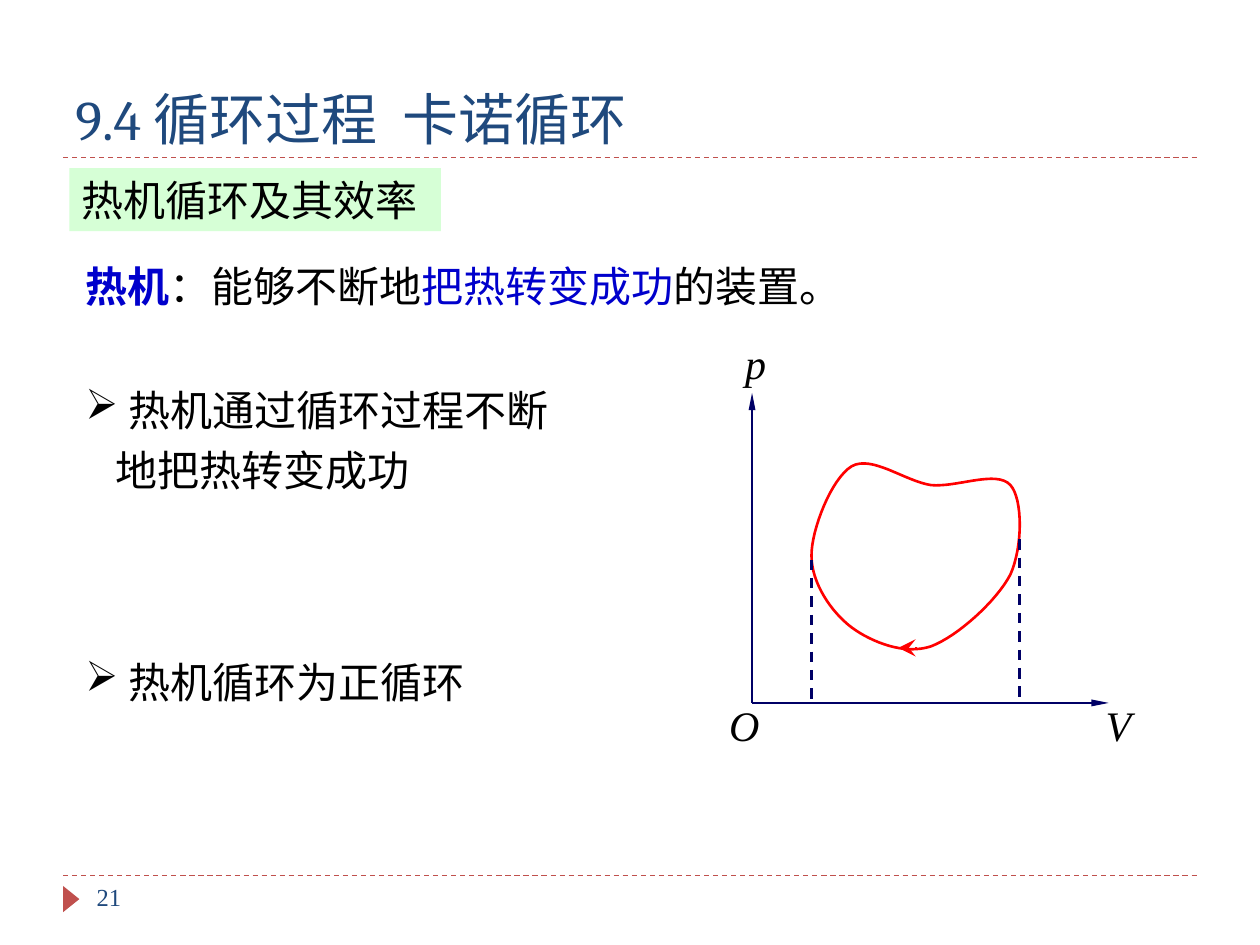
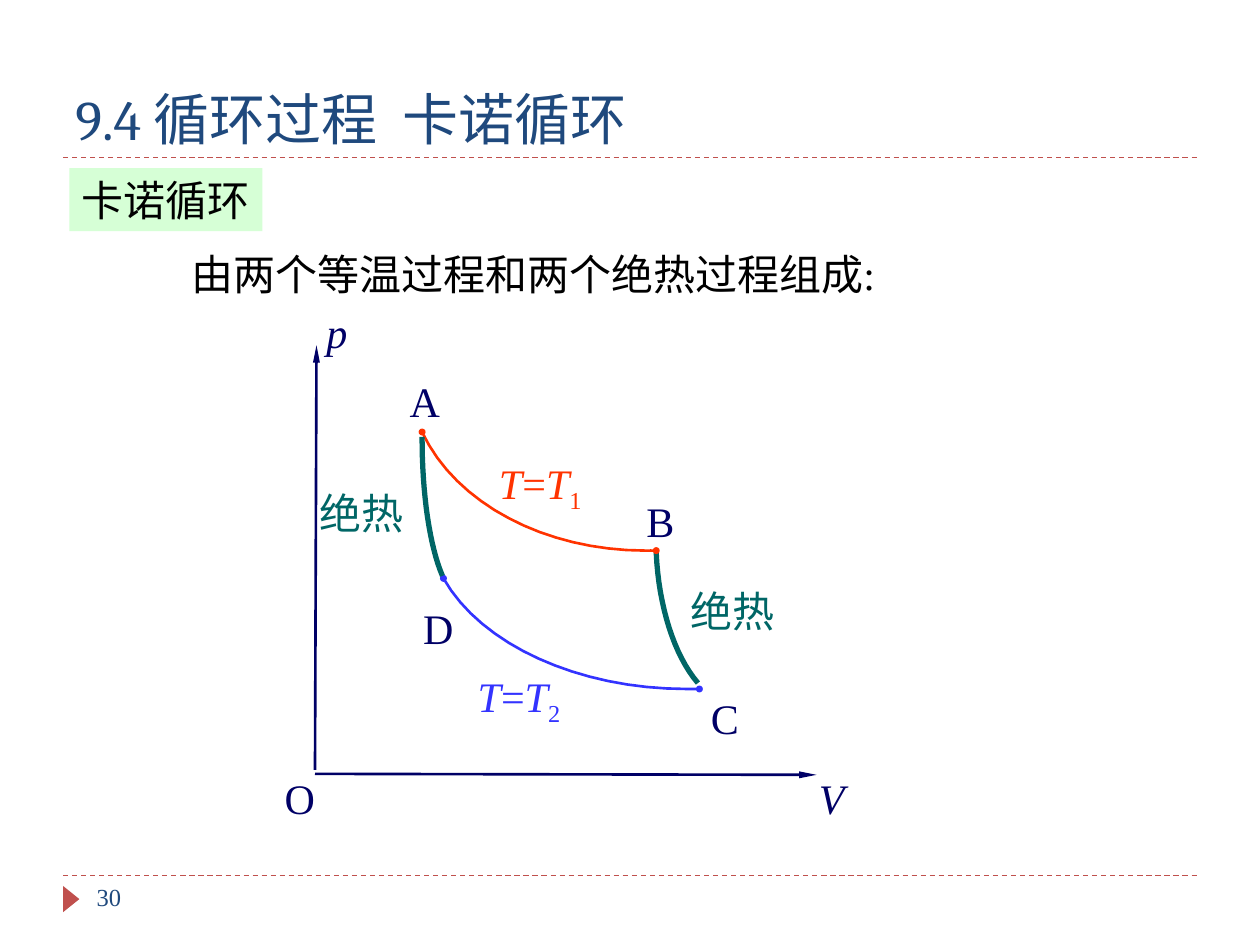
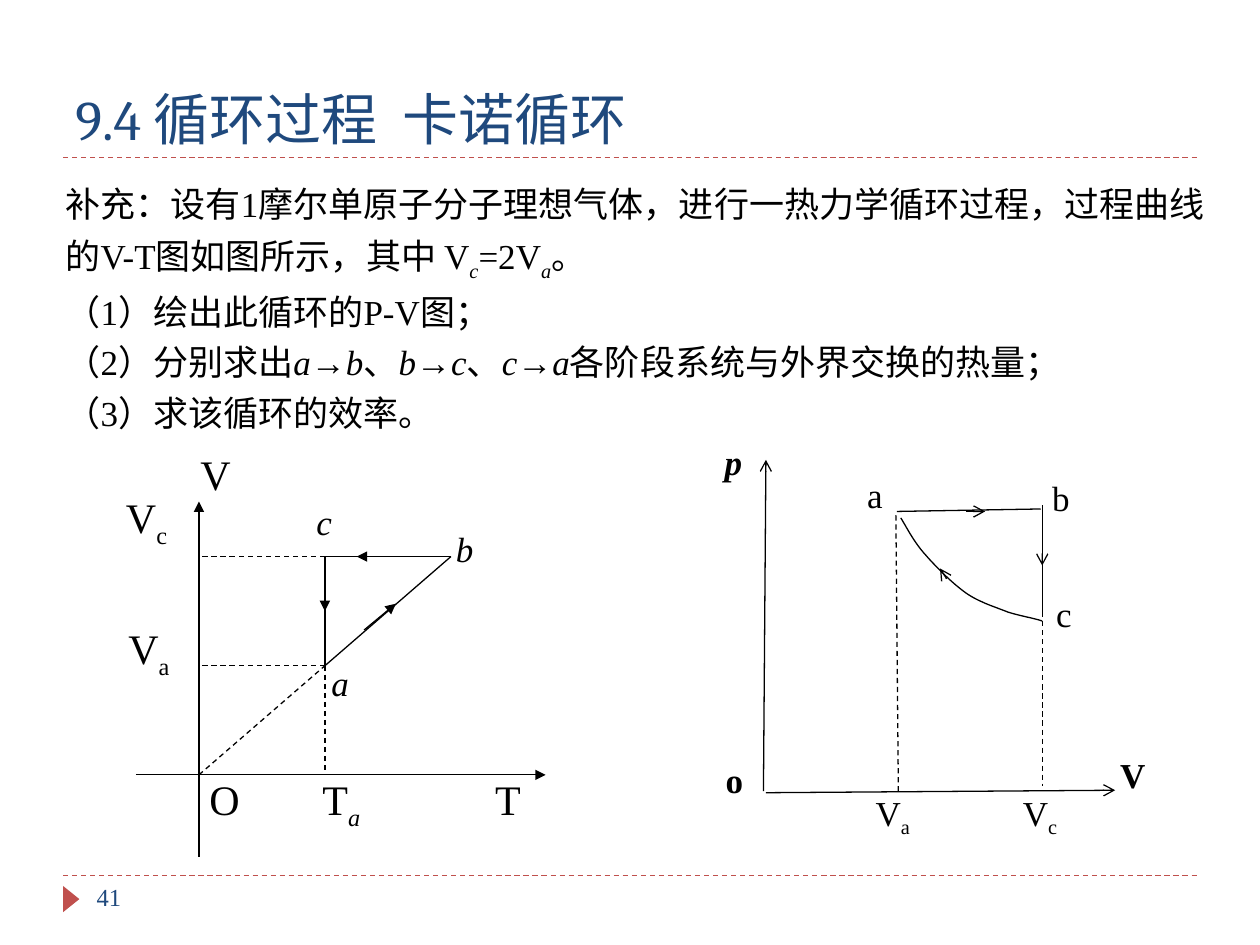
from dataclasses import dataclass

from lxml import etree
from pptx import Presentation
from pptx.dml.color import RGBColor
from pptx.enum.dml import MSO_LINE
from pptx.enum.shapes import MSO_CONNECTOR, MSO_SHAPE
from pptx.enum.text import MSO_ANCHOR
from pptx.oxml.ns import qn
from pptx.util import Cm, Pt

STRAIGHT = MSO_CONNECTOR.STRAIGHT
DASH = MSO_LINE.DASH
RECTANGLE, TRIANGLE = MSO_SHAPE.RECTANGLE, MSO_SHAPE.ISOSCELES_TRIANGLE
MIDDLE, BOTTOM = MSO_ANCHOR.MIDDLE, MSO_ANCHOR.BOTTOM

SERIF, TITLE_FONT = "Times New Roman", "Cambria"
BLACK, SLATE, BRICK, MINT = "000000", "1F497D", "C0504D", "CCFFCC"
NAVY, BLUE, TEAL = "000066", "0000CC", "006666"
RED, HOT, COLD = "FF0000", "FF3300", "3333FF"
TITLE = "9.4 循环过程  卡诺循环"
CURVE_STEPS = 16

Point = tuple[float, float]


@dataclass(frozen=True)
class Run:
    """A piece of text with its own emphasis."""
    text: str
    color: str | None = None
    bold: bool = False
    italic: bool = False
    sub: bool = False


@dataclass(frozen=True)
class Tip:
    """The end mark of a line."""
    kind: str
    width: str = "med"
    length: str = "med"


@dataclass(frozen=True)
class Label:
    """A short text whose top left corner is at x, y."""
    x: float
    y: float
    runs: tuple[Run, ...]
    color: str = BLACK
    size: int = 24


@dataclass(frozen=True)
class Line:
    """A straight line."""
    start: Point
    end: Point
    color: str = BLACK
    width: float = 0.75
    dashed: bool = False
    tip: Tip | None = None


@dataclass(frozen=True)
class Curve:
    """A chain of cubic Bezier pieces."""
    points: tuple[Point, ...]
    color: str = BLACK
    width: float = 0.75
    ends: Tip | None = None


AXIS_TIP = Tip("triangle", "sm", "lg")
SOLID_TIP, OPEN_TIP = Tip("triangle"), Tip("arrow")
STATE_DOT = Tip("oval", "sm", "sm")


def rgb(color: str) -> RGBColor:
    """Turn a hex string into a colour."""
    return RGBColor.from_string(color)


def plain(text: str) -> tuple[Run, ...]:
    """Give upright text as runs."""
    return (Run(text),)


def slanted(text: str) -> tuple[Run, ...]:
    """Give italic text as runs."""
    return (Run(text, italic=True),)


def indexed(text: str, index: str, italic: bool = False) -> tuple[Run, ...]:
    """Give a symbol with a subscript."""
    return Run(text), Run(index, italic=italic, sub=True)


def isotherm(index: str) -> tuple[Run, ...]:
    """Give the equation of an isotherm."""
    return *slanted("T"), Run("="), *slanted("T"), Run(index, sub=True)


def write(p, runs: tuple[Run, ...], size: int, color: str, font: str = SERIF) -> None:
    """Fill a paragraph with formatted runs."""
    for run in runs:
        r = p.add_run()
        r.text = run.text
        r.font.name, r.font.size = font, Pt(size)
        r.font.bold, r.font.italic = run.bold, run.italic
        r.font.color.rgb = rgb(run.color or color)
        if run.sub:
            r.font._element.set("baseline", "-25000")


def add_text(s, box: tuple[float, ...], paragraphs: list[tuple[Run, ...]], size: int = 24,
             color: str = BLACK, font: str = SERIF, spacing: float | None = None):
    """Add a wrapping text box and return its frame."""
    tf = s.shapes.add_textbox(*map(Cm, box)).text_frame
    tf.word_wrap = True
    for i, runs in enumerate(paragraphs):
        p = tf.add_paragraph() if i else tf.paragraphs[0]
        p.line_spacing = spacing
        write(p, runs, size, color, font)
    return tf


def add_label(s, label: Label) -> None:
    """Add a label without insets."""
    tf = add_text(s, (label.x, label.y, 2.4, 1), [label.runs], label.size, label.color)
    tf.margin_left = tf.margin_right = tf.margin_top = tf.margin_bottom = 0


def add_bullet(s, top: float, text: str) -> None:
    """Add a paragraph with an arrowhead bullet."""
    tf = add_text(s, (1.47, top, 10.16, 1.47), [plain(text)], spacing=1.2)
    pPr = tf.paragraphs[0]._p.get_or_add_pPr()
    pPr.set("marL", str(Cm(0.6)))
    pPr.set("indent", str(-Cm(0.6)))
    etree.SubElement(pPr, qn("a:buChar"), char="➢")


def add_end(sp, tag: str, tip: Tip) -> None:
    """Put an end mark on a line."""
    ln = sp.element.spPr.find(qn("a:ln"))
    etree.SubElement(ln, qn(tag), type=tip.kind, w=tip.width, len=tip.length)


def add_line(s, line: Line) -> None:
    """Draw a straight line."""
    sp = s.shapes.add_connector(STRAIGHT, *map(Cm, line.start + line.end))
    sp.line.color.rgb, sp.line.width = rgb(line.color), Pt(line.width)
    if line.dashed:
        sp.line.dash_style = DASH
    if line.tip:
        add_end(sp, "a:tailEnd", line.tip)
    etree.SubElement(sp.element.spPr, qn("a:effectLst"))


def trace(points: tuple[Point, ...]) -> list[Point]:
    """Sample a chain of cubic Bezier pieces, in cm."""
    out = [points[0]]
    for i in range(0, len(points) - 1, 3):
        a, b, c, d = points[i:i + 4]
        for step in range(1, CURVE_STEPS + 1):
            t = step / CURVE_STEPS
            u = 1 - t
            weights = u**3, 3 * u * u * t, 3 * u * t * t, t**3
            out.append(tuple(sum(w * q[k] for w, q in zip(weights, (a, b, c, d)))
                             for k in (0, 1)))
    return out


def add_curve(s, curve: Curve) -> None:
    """Draw a curve as an unfilled freeform."""
    start, *rest = [(Cm(x), Cm(y)) for x, y in trace(curve.points)]
    builder = s.shapes.build_freeform(*start)
    builder.add_line_segments(rest, close=curve.points[0] == curve.points[-1])
    sp = builder.convert_to_shape()
    sp.shadow.inherit = False
    sp.fill.background()
    sp.line.color.rgb, sp.line.width = rgb(curve.color), Pt(curve.width)
    if curve.ends:
        add_end(sp, "a:headEnd", curve.ends)
        add_end(sp, "a:tailEnd", curve.ends)


def draw(s, items: list[Label | Line | Curve]) -> None:
    """Draw the parts of a diagram in order."""
    painters = {Label: add_label, Line: add_line, Curve: add_curve}
    for item in items:
        painters[type(item)](s, item)


def add_filled(s, kind, box: tuple[float, ...], color: str):
    """Add a filled shape without outline."""
    sp = s.shapes.add_shape(kind, *map(Cm, box))
    sp.shadow.inherit = False
    sp.fill.solid()
    sp.fill.fore_color.rgb = rgb(color)
    sp.line.fill.background()
    return sp


def add_heading(s, text: str, width: float) -> None:
    """Add the translucent section heading."""
    sp = add_filled(s, RECTANGLE, (1.4, 3.39, width, 1.27), MINT)
    fill = sp.element.spPr.find(qn("a:solidFill"))
    etree.SubElement(fill[0], qn("a:alpha"), val="80000")
    tf = sp.text_frame
    tf.word_wrap, tf.margin_right, tf.vertical_anchor = True, 0, MIDDLE
    p = tf.paragraphs[0]
    p.alignment = 1
    write(p, plain(text), 24, BLACK)


def new_slide(prs, number: int):
    """Add a slide with title, rules, marker and page number."""
    s = prs.slides.add_slide(prs.slide_layouts[6])
    for y in (17.65, 3.18):
        add_line(s, Line((1.27, y), (24.13, y), BRICK, dashed=True))
    add_filled(s, TRIANGLE, (1.17, 17.96, 0.53, 0.33), BRICK).rotation = 90
    tf = add_text(s, (1.27, 0.64, 22.86, 2.54), [plain(TITLE)], 32, SLATE, TITLE_FONT)
    tf.vertical_anchor = BOTTOM
    add_text(s, (1.7, 17.65, 5.5, 1.02), [plain(str(number))], 14, SLATE)
    return s


def heat_engine(prs) -> None:
    """Build the slide on the heat engine cycle."""
    s = new_slide(prs, 21)
    add_heading(s, "热机循环及其效率", 7.49)
    add_text(s, (1.47, 4.88, 17.15, 1.52), [(
        Run("热机", BLUE, bold=True), Run("：能够不断地"),
        Run("把热转变成功", BLUE), Run("的装置。"))], spacing=1.25)
    add_bullet(s, 7.42, " 热机通过循环过程不断地把热转变成功")
    add_bullet(s, 12.9, " 热机循环为正循环")
    origin = (15.16, 14.17)
    loop = (
        (16.36, 11.2), (16.36, 10.67), (16.76, 9.65), (17.17, 9.4),
        (17.58, 9.17), (18.24, 9.7), (18.77, 9.78),
        (19.3, 9.83), (20.09, 9.47), (20.37, 9.78),
        (20.62, 10.06), (20.62, 11.02), (20.37, 11.58),
        (20.09, 12.12), (19.3, 12.83), (18.77, 13.03),
        (18.24, 13.21), (17.58, 12.95), (17.17, 12.65),
        (16.76, 12.34), (16.36, 11.76), (16.36, 11.2))
    draw(s, [
        Label(15.02, 6.81, slanted("p")),
        Label(14.7, 14.1, slanted("O")),
        Label(22.29, 14.1, slanted("V")),
        Line(origin, (22.35, 14.17), NAVY, 1.5, tip=AXIS_TIP),
        Line(origin, (15.16, 7.92), NAVY, 1.5, tip=AXIS_TIP),
        Curve(loop, RED, 1.5),
        Line((20.55, 10.87), (20.55, 14.17), NAVY, 1.5, dashed=True),
        Line((16.36, 11.28), (16.36, 14.17), NAVY, 1.5, dashed=True),
        Line((18.49, 13.06), (18.11, 13.06), RED, tip=Tip("stealth", "lg", "lg")),
    ])


def carnot_cycle(prs) -> None:
    """Build the slide on the Carnot cycle."""
    s = new_slide(prs, 30)
    add_heading(s, "卡诺循环", 3.89)
    adiabat_bc = (14.07, 13.77), (13.59, 13.21), (13.28, 12.22), (13.23, 11.15)
    adiabat_da = (8.92, 11.61), (8.66, 11), (8.51, 9.96), (8.51, 8.81)
    isotherm_cold = ((14.1, 13.89), (14.02, 13.89), (13.94, 13.89), (13.84, 13.89),
                     (11.66, 13.89), (9.7, 13), (8.94, 11.66))
    isotherm_hot = ((13.23, 11.1), (13.16, 11.1), (13.08, 11.1), (13, 11.1),
                    (11, 11.1), (9.19, 10.16), (8.51, 8.71))
    draw(s, [
        Curve(adiabat_bc, TEAL, 3),
        Line((6.35, 15.6), (16.46, 15.62), NAVY, 1.5, tip=AXIS_TIP),
        Line((6.35, 15.52), (6.38, 6.96), NAVY, 1.5, tip=AXIS_TIP),
        Label(14.33, 13.97, plain("C"), NAVY),
        Label(13.03, 9.98, plain("B"), NAVY),
        Label(8.26, 7.57, plain("A"), NAVY),
        Label(8.53, 12.14, plain("D"), NAVY),
        Label(5.74, 15.57, plain("O"), NAVY),
        Label(16.51, 15.57, slanted("V"), NAVY),
        Label(6.58, 6.17, slanted("p"), NAVY),
        Curve(isotherm_cold, COLD, 1.5, STATE_DOT),
        Curve(isotherm_hot, HOT, 1.5, STATE_DOT),
        Curve(adiabat_da, TEAL, 3),
        Label(10.06, 9.22, isotherm("1"), HOT),
        Label(13.92, 11.81, plain("绝热"), TEAL),
        Label(9.63, 13.51, isotherm("2"), COLD),
        Label(6.45, 9.83, plain("绝热"), TEAL),
    ])
    add_text(s, (3.61, 4.88, 14.27, 1.27), [plain("由两个等温过程和两个绝热过程组成:")])


def draw_vt_diagram(s) -> None:
    """Draw the V-T diagram of the exercise."""
    left, mid, right = 4.01, 6.55, 9.09
    high, low, base = 11.22, 13.42, 15.62
    origin, a, b, c = (left, base), (mid, low), (right, high), (mid, high)
    draw(s, [
        Line((2.74, base), (11, base), tip=SOLID_TIP),
        Line((left, 17.27), (left, 10.11), tip=SOLID_TIP),
        *(Line(*ends) for ends in ((a, b), (b, c), (c, a))),
        *(Line(*ends, dashed=True) for ends in (
            (origin, a), (a, (left, low)), (c, (left, high)), (a, (mid, base)))),
        Line((mid, 11.76), (mid, 12.32), tip=SOLID_TIP),
        Line((7.34, 12.7), (7.98, 12.17), tip=SOLID_TIP),
        Line((8.46, high), (7.19, high), tip=SOLID_TIP),
        Label(2.54, 9.91, indexed("V", "c")),
        Label(2.59, 12.55, indexed("V", "a")),
        Label(6.38, 10.08, slanted("c"), size=20),
        Label(9.19, 10.64, slanted("b"), size=20),
        Label(6.68, 13.34, slanted("a"), size=20),
        Label(4.22, 15.6, plain("O")),
        Label(6.5, 15.6, indexed("T", "a", italic=True)),
        Label(9.98, 15.6, plain("T")),
        Label(4.04, 9.04, plain("V")),
    ])


def draw_pv_diagram(s) -> None:
    """Draw the p-V diagram of the exercise."""
    x_c = 21.01
    curve_ca = (
        (18.16, 10.44), (18.31, 10.69), (18.44, 10.95), (18.67, 11.2),
        (18.9, 11.46), (19.2, 11.76), (19.48, 11.96),
        (19.74, 12.14), (20.07, 12.24), (20.32, 12.34),
        (20.57, 12.42), (20.88, 12.47), (x_c, 12.52))
    draw(s, [
        Line((15.39, 15.95), (15.44, 9.27), tip=OPEN_TIP),
        Line((15.44, 15.98), (22.48, 15.93), tip=OPEN_TIP),
        Line((18.08, 10.31), (20.98, 10.26)),
        Line((18.06, 10.39), (18.11, 15.98), dashed=True),
        Line((x_c, 12.34), (x_c, 15.85), dashed=True),
        Line((x_c, 12.34), (x_c, 10.19)),
        Curve(curve_ca),
        Line((x_c, 11.25), (x_c, 11.4), tip=OPEN_TIP),
        Line((19.48, 10.31), (19.86, 10.31), tip=OPEN_TIP),
        Line((19.08, 11.66), (18.95, 11.46), tip=OPEN_TIP),
        Label(14.61, 8.89, (Run("p", bold=True, italic=True),), size=20),
        Label(14.63, 15.29, (Run("o", bold=True),), size=20),
        Label(22.58, 15.19, (Run("V", bold=True),), size=20),
        Label(17.48, 9.55, plain("a"), size=20),
        Label(21.21, 9.6, plain("b"), size=20),
        Label(21.29, 11.94, plain("c"), size=20),
        Label(20.62, 15.95, indexed("V", "c"), size=20),
        Label(17.65, 15.95, indexed("V", "a"), size=20),
    ])


def exercise(prs) -> None:
    """Build the slide with the supplementary exercise."""
    s = new_slide(prs, 41)
    a, b, c = (Run(name, italic=True) for name in "abc")
    to, comma = Run("→"), Run("、")
    add_text(s, (1.07, 3.39, 23.93, 5.33), [
        (*indexed("补充：设有1摩尔单原子分子理想气体，进行一热力学循环过程，"
                  "过程曲线的V-T图如图所示，其中 V", "c", italic=True),
         *indexed("=2V", "a", italic=True), Run("。")),
        plain("（1）绘出此循环的P-V图；"),
        (Run("（2）分别求出"), a, to, b, comma, b, to, c, comma, c, to, a,
         Run("各阶段系统与外界交换的热量；")),
        plain("（3）求该循环的效率。"),
    ], 20, spacing=1.2)
    draw_vt_diagram(s)
    draw_pv_diagram(s)


def main() -> None:
    """Build and save the presentation."""
    prs = Presentation()
    prs.slide_width, prs.slide_height = Cm(25.4), Cm(19.05)
    for build in (heat_engine, carnot_cycle, exercise):
        build(prs)
    prs.save("out.pptx")


if __name__ == "__main__":
    main()
